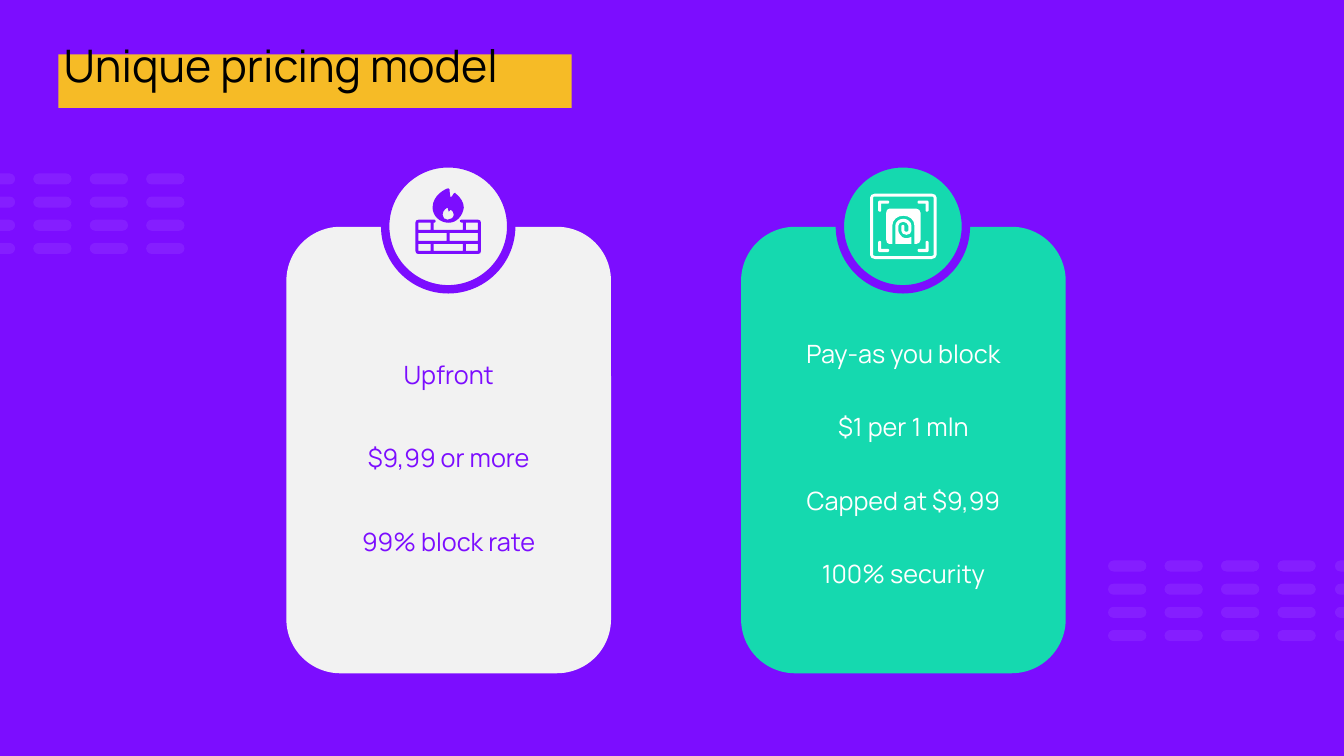
"""Build the pricing slide with two plan cards."""
from dataclasses import dataclass

import pptx
import pptx.dml.color
import pptx.enum.shapes
import pptx.enum.text
import pptx.oxml
import pptx.oxml.ns
import pptx.shapes.base
import pptx.slide
import pptx.util

SCALE = 9144
FONT = "Manrope"
COLOURS = {"violet": "7C0DFF", "amber": "F6BB26", "pale": "F2F2F2",
           "green": "15D9AF", "white": "FFFFFF", "black": "000000"}
SHAPES = pptx.enum.shapes.MSO_SHAPE
ALIGN = pptx.enum.text.PP_ALIGN
ANCHOR = pptx.enum.text.MSO_ANCHOR


@dataclass(frozen=True)
class Box:
    left: int
    top: int
    width: int
    height: int


@dataclass(frozen=True)
class Card:
    left: int
    fill: str
    ink: str
    icon: list[list[str]]
    list_top: int
    pitch: int
    lines: list[str]


@dataclass(frozen=True)
class DashGrid:
    left: int
    top: int
    columns: int
    rows: int = 4


def rectangle(left: int, top: int, right: int, bottom: int) -> str:
    """Return the outline of a rectangle."""
    return f"{left} {top} | {right} {top} | {right} {bottom} | {left} {bottom}"


def bracket(x: int, y: int, dx: int, dy: int) -> str:
    """Return a corner bracket that opens in the direction dx, dy."""
    steps = "10 0|1 0|1 0 0 0 0 1|0 10|0 11 1 11 1 11|2 11 3 11 3 10|3 3|10 3|11 3 11 2 11 1|11 1 11 0 10 0"
    return "|".join(
        " ".join(f"{x + dx * across} {y + dy * down}" for across, down in pairs) for pairs in trace(steps))


def trace(outline: str) -> list[list[tuple[int, int]]]:
    """Split an outline into steps: one point is a line, three are a curve."""
    steps = [[int(value) for value in step.split()] for step in outline.split("|")]
    return [list(zip(values[::2], values[1::2])) for values in steps]


WALL = [
    "474 218|458 218|457 218 456 218 456 219|456 220 457 221 458 221|459 221|459 228|430 228|430 221|431 221|"
    "432 221 432 220 432 219|432 218 432 218 431 218|415 218|413 218 412 219 412 221|412 249|"
    "412 251 413 252 415 252|474 252|476 252 477 251 477 249|477 221|477 219 476 218 474 218",
    *(rectangle(left, 221, left + 12, 228) for left in (415, 462)),
    *(rectangle(left, 231, left + 28, 239) for left in (415, 446)),
    *(rectangle(left, 242, right, 249) for left, right in ((415, 427), (430, 459), (462, 474))),
]
FLAME = [
    "452 192|452 191 451 191 450 192|449 194 448 195 447 196|446 194 446 191 446 188|446 187 446 187 445 187|"
    "444 187 444 187 444 187|443 187 429 193 429 206|429 214 436 221 445 221|453 221 459 214 460 206|"
    "460 201 457 196 452 192",
    "444 218|441 218 439 216 439 213|439 208 444 206 444 206|444 207 445 209 445 210|446 209 447 209 447 208|"
    "449 209 450 211 450 213|450 216 447 218 444 218",
]
PAD = [
    "909 207|882 207|880 207 879 209 879 211|879 238|879 240 880 242 882 242|885 242|885 224|"
    "885 218 890 214 896 214|902 214 907 218 907 224|907 242|909 242|911 242 913 240 913 238|913 211|"
    "913 209 911 207 909 207",
]
FINGER = [
    "896 217|892 217 888 220 888 224|888 242|904 242|904 235|900 237 895 237 893 233|892 232 891 230 891 229|"
    "891 224|891 222 893 220 896 220|898 220 901 222 901 224|901 229|901 229 900 230 899 230|"
    "898 230 897 229 897 229|897 224|897 224 897 223 896 223|895 223 894 224 894 224|894 229|"
    "894 231 896 233 899 233|902 233 904 231 904 229|904 224|904 220 900 217 896 217",
]
FRAME = [
    "924 192|868 192|865 192 863 194 863 196|863 253|863 255 865 257 868 257|924 257|"
    "927 257 929 255 929 253|929 196|929 194 927 192 924 192",
    "926 253|926 253 925 254 924 254|868 254|867 254 866 253 866 253|866 196|866 195 867 195 868 195|"
    "924 195|925 195 926 195 926 196",
]
BRACKETS = [[bracket(x, y, dx, dy)] for x, dx in ((871, 1), (921, -1)) for y, dy in ((199, 1), (250, -1))]
CARDS = [
    Card(284, "pale", "violet", [WALL, FLAME], 347, 83, ["Upfront", "$9,99 or more", "99% block rate"]),
    Card(735, "green", "white", [PAD, FINGER, FRAME, *BRACKETS], 326, 73,
         ["Pay-as you block", "$1 per 1 mln", "Capped at $9,99", "100% security"]),
]
DASH_GRIDS = [DashGrid(1099, 556, 5), DashGrid(-23, 172, 4)]


def rgb(name: str) -> pptx.dml.color.RGBColor:
    """Return a named colour."""
    return pptx.dml.color.RGBColor.from_string(COLOURS[name])


def place(shape: pptx.shapes.base.BaseShape, box: Box) -> None:
    """Move a placeholder to a box, in front of what is drawn so far."""
    shape.left, shape.top = box.left * SCALE, box.top * SCALE
    shape.width, shape.height = box.width * SCALE, box.height * SCALE
    shape.element.getparent().append(shape.element)


def paint(shape: pptx.shapes.base.BaseShape, fill: str, line: str = "", alpha: int = 100) -> None:
    """Give a shape its fill and outline, without a shadow."""
    shape.shadow.inherit = False
    shape.fill.solid()
    shape.fill.fore_color.rgb = rgb(fill)
    if alpha < 100:
        colour = shape.element.spPr.find(".//" + pptx.oxml.ns.qn("a:srgbClr"))
        colour.append(pptx.oxml.parse_xml(f'<a:alpha {pptx.oxml.ns.nsdecls("a")} val="{alpha * 1000}"/>'))
    if line:
        shape.line.color.rgb = rgb(line)
        shape.line.width = pptx.util.Pt(6)
    else:
        shape.line.fill.background()


def add_shape(page: pptx.slide.Slide, kind: SHAPES, box: Box, fill: str,
              line: str = "", alpha: int = 100) -> pptx.shapes.base.BaseShape:
    """Add a painted preset shape."""
    shape = page.shapes.add_shape(
        kind, box.left * SCALE, box.top * SCALE, box.width * SCALE, box.height * SCALE)
    paint(shape, fill, line, alpha)
    return shape


def add_icon_part(page: pptx.slide.Slide, outlines: list[str], fill: str) -> None:
    """Draw outlines as one freeform, the later ones being holes."""
    contours = [trace(outline) for outline in outlines]
    builder = page.shapes.build_freeform(*contours[0][0][0], scale=SCALE)
    for index, (start, *steps) in enumerate(contours):
        if index:
            builder.move_to(*start[0])
        builder.add_line_segments([point for step in steps for point in step], close=True)
    shape = builder.convert_to_shape()
    segments = iter(list(shape.element.iter(pptx.oxml.ns.qn("a:lnTo"))))
    for step in (step for contour in contours for step in contour[1:]):
        first, *others = [next(segments) for _ in step]
        if others:
            first.tag = pptx.oxml.ns.qn("a:cubicBezTo")
        for other in others:
            first.append(other[0])
            other.getparent().remove(other)
    paint(shape, fill)


def write_text(shape: pptx.shapes.base.BaseShape, lines: list[str], *, size: int, colour: str,
               align: ALIGN, anchor: ANCHOR, pitch: int = 0) -> None:
    """Write one paragraph a line, with pitch as the distance between lines."""
    frame = shape.text_frame
    frame.text = "\n".join(lines)
    frame.word_wrap = True
    frame.auto_size = pptx.enum.text.MSO_AUTO_SIZE.NONE
    frame.vertical_anchor = anchor
    line_height = pptx.util.Pt(size * 1.37)
    for index, para in enumerate(frame.paragraphs):
        para.alignment = align
        para.line_spacing = line_height
        para.space_before = pptx.util.Emu(pitch * SCALE - line_height if index else 0)
        properties = para._p.get_or_add_pPr()
        properties.set("marL", "0")
        properties.set("indent", "0")
        properties.append(pptx.oxml.parse_xml(f'<a:buNone {pptx.oxml.ns.nsdecls("a")}/>'))
        font = para.runs[0].font
        font.name, font.size, font.color.rgb = FONT, pptx.util.Pt(size), rgb(colour)


def add_card(page: pptx.slide.Slide, card: Card, body: pptx.shapes.base.BaseShape) -> None:
    """Draw a plan card with its badge, icon and list."""
    add_shape(page, SHAPES.ROUNDED_RECTANGLE, Box(card.left, 225, 322, 443), card.fill)
    add_shape(page, SHAPES.OVAL, Box(card.left + 98, 162, 125, 125), card.fill, line="violet")
    for outlines in card.icon:
        add_icon_part(page, outlines, card.ink)
    place(body, Box(card.left, card.list_top, 322, card.pitch * (len(card.lines) - 1) + 45))
    write_text(body, card.lines, size=18, colour=card.ink, align=ALIGN.CENTER, anchor=ANCHOR.TOP, pitch=card.pitch)


deck = pptx.Presentation()
deck.slide_width, deck.slide_height = 1333 * SCALE, 750 * SCALE
page = deck.slides.add_slide(deck.slide_layouts.get_by_name("Two Content"))
page.background.fill.solid()
page.background.fill.fore_color.rgb = rgb("violet")
title, *bodies = page.placeholders
add_shape(page, SHAPES.RECTANGLE, Box(58, 54, 509, 53), "amber")
place(title, Box(53, 28, 515, 64))
write_text(title, ["Unique pricing model"], size=32, colour="black", align=ALIGN.LEFT, anchor=ANCHOR.MIDDLE)
for card, body in zip(CARDS, bodies):
    add_card(page, card, body)
for grid in DASH_GRIDS:
    for cell in range(grid.rows * grid.columns):
        row, column = divmod(cell, grid.columns)
        box = Box(grid.left + column * 225 // 4, grid.top + row * 23, 38, 11)
        add_shape(page, SHAPES.ROUNDED_RECTANGLE, box, "white", alpha=7).adjustments[0] = 0.5
deck.save("out.pptx")
